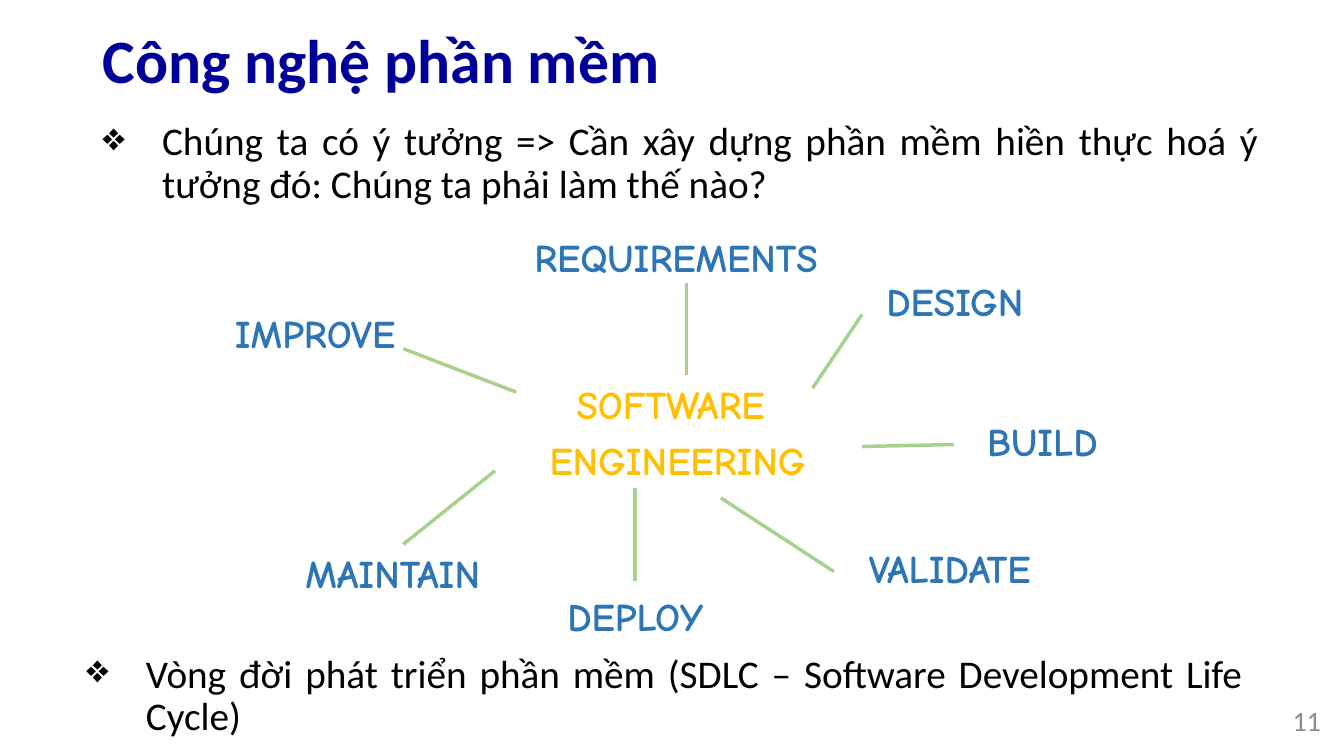
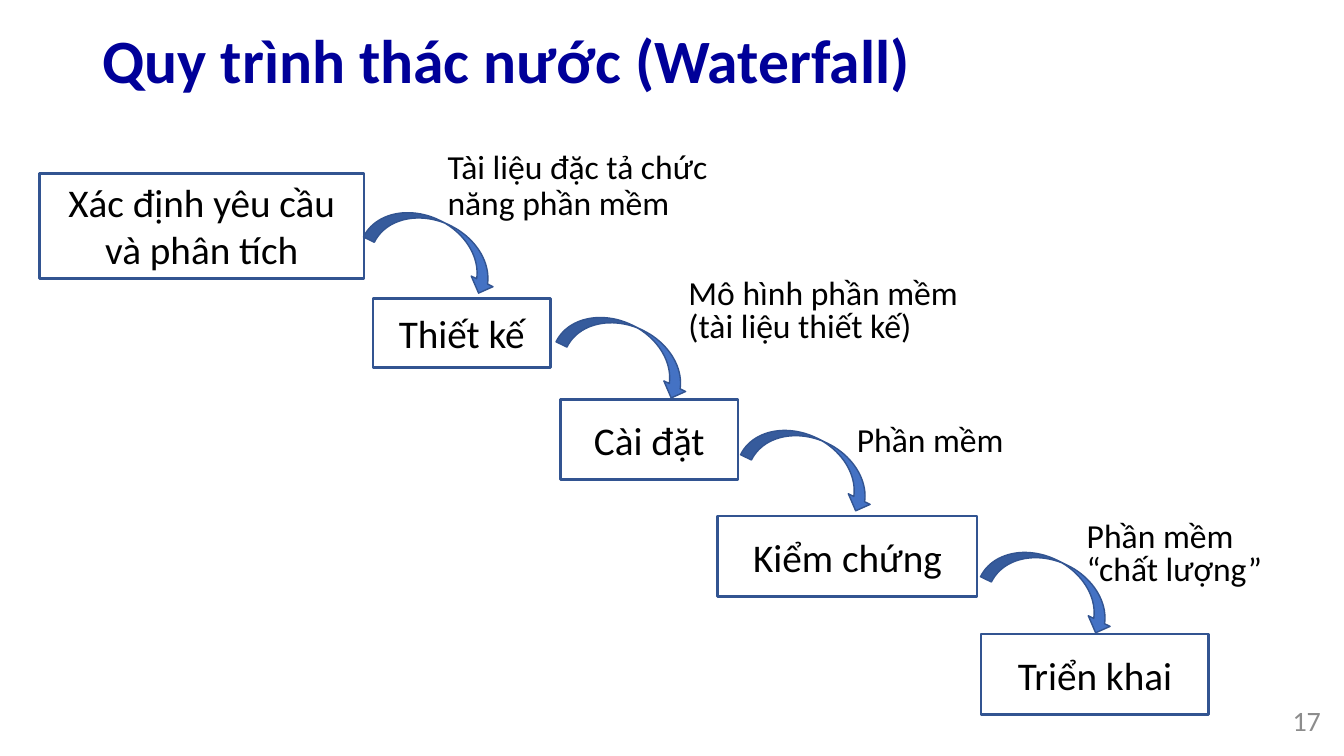
import pptx
import pptx.dml.color
import pptx.enum.shapes
import pptx.enum.text
import pptx.oxml
import pptx.oxml.ns
import pptx.util
from lxml import etree

Inches, Pt = pptx.util.Inches, pptx.util.Pt
SHAPE = pptx.enum.shapes.MSO_SHAPE
ALIGN = pptx.enum.text.PP_ALIGN
ANCHOR = pptx.enum.text.MSO_ANCHOR


def rgb(value):
    return pptx.dml.color.RGBColor.from_string(value)


class Deck:
    FONT, LABEL_FONT = "Calibri", "Comic Neue"
    TITLE, TEXT, PAGE = "000099", "000000", "8C8C8C"
    HUB, LABEL, SPOKE = "FFC000", "2E75B6", "A9D18E"
    OUTLINE, ARROW, WHITE = "325491", "4472C4", "FFFFFF"

    def __init__(self):
        self.prs = pptx.Presentation()
        self.prs.slide_width = Inches(13.33)
        self.prs.slide_height = Inches(7.5)
        self.s = None

    def slide(self, title, page):
        self.s = self.prs.slides.add_slide(self.prs.slide_layouts[6])
        self.text(title, (0.92, 0.23, 11.5, 0.8), 44, self.TITLE,
                  bold=True, anchor=ANCHOR.MIDDLE, line=0.9)
        self.text(page, (10.2, 6.95, 3, 0.4), 20, self.PAGE,
                  align=ALIGN.RIGHT, anchor=ANCHOR.MIDDLE)

    def set_text(self, sp, text, size, color, font=FONT, bold=False,
                 align=ALIGN.LEFT, anchor=ANCHOR.TOP, line=None,
                 before=0, after=0):
        tf = sp.text_frame
        tf.text = text
        tf.word_wrap = True
        tf.vertical_anchor = anchor
        for p in tf.paragraphs:
            p.alignment = align
            p.line_spacing = line
            p.space_before, p.space_after = Pt(before), Pt(after)
            for r in p.runs:
                r.font.name, r.font.size, r.font.bold = font, Pt(size), bold
                r.font.color.rgb = rgb(color)

    def text(self, text, box, size, color, **style):
        sp = self.s.shapes.add_textbox(*map(Inches, box))
        self.set_text(sp, text, size, color, **style)
        return sp

    def bullet(self, text, left, top):
        sp = self.text(text, (left, top, 11.66, 1.19), 28, self.TEXT,
                       align=ALIGN.JUSTIFY, line=0.9, before=10, after=6)
        pPr = sp.text_frame.paragraphs[0]._p.get_or_add_pPr()
        pPr.set("marL", str(Inches(0.59)))
        pPr.set("indent", str(-Inches(0.59)))
        mark = etree.SubElement(pPr, pptx.oxml.ns.qn("a:buChar"))
        mark.set("char", "❖")

    def shape(self, kind, box, fill=None, outline=None, width=1):
        sp = self.s.shapes.add_shape(kind, *map(Inches, box))
        sp.shadow.inherit = False
        if fill:
            sp.fill.solid()
            sp.fill.fore_color.rgb = rgb(fill)
        else:
            sp.fill.background()
        if outline:
            sp.line.color.rgb = rgb(outline)
            sp.line.width = Pt(width)
        else:
            sp.line.fill.background()
        return sp

    def bubble(self, text, box, color):
        sp = self.shape(SHAPE.OVAL, box, self.WHITE)
        self.set_text(sp, text, 28, color, font=self.LABEL_FONT, bold=True,
                      align=ALIGN.CENTER, anchor=ANCHOR.MIDDLE, after=6)

    def spoke(self, ends):
        line = self.s.shapes.add_connector(
            pptx.enum.shapes.MSO_CONNECTOR.STRAIGHT, *map(Inches, ends))
        line.line.color.rgb = rgb(self.SPOKE)
        line.line.width = Pt(2.5)
        etree.SubElement(line._element.spPr, pptx.oxml.ns.qn("a:effectLst"))

    def step(self, text, box):
        sp = self.shape(SHAPE.RECTANGLE, box, outline=self.OUTLINE, width=2)
        self.set_text(sp, text, 28, self.TEXT, align=ALIGN.CENTER,
                      anchor=ANCHOR.MIDDLE)

    def flow(self, left, top):
        """Draw the curved arrow that leads down to the next step."""
        sp = self.shape(SHAPE.CURVED_DOWN_ARROW, (left, top, 1.39, 0.48),
                        self.ARROW, self.OUTLINE)
        sp.rotation = 26

    def output(self, text, box, line):
        self.text(text, box, 24, self.TEXT, line=line, before=10, after=6)


def life_cycle(deck):
    deck.slide("Công nghệ phần mềm", "11")
    deck.bullet("Chúng ta có ý tưởng => Cần xây dựng phần mềm hiền thực hoá "
                "ý tưởng đó: Chúng ta phải làm thế nào?", 0.92, 1.16)
    deck.bubble("SOFTWARE \nENGINEERING", (4.46, 3.72, 4.52, 1.13), deck.HUB)
    activities = [
        ("REQUIREMENTS", (4.28, 1.98, 4.85, 1.13), (6.81, 3.72, 6.81, 2.81)),
        ("DESIGN", (8.24, 2.62, 2.46, 0.73), (8.06, 3.85, 8.55, 3.12)),
        ("BUILD", (9.11, 4.01, 2.46, 0.73), (8.55, 4.43, 9.46, 4.41)),
        ("VALIDATE", (7.92, 5.27, 3, 0.73), (7.15, 4.94, 8.27, 5.67)),
        ("DEPLOY", (4.8, 5.74, 3, 0.73), (6.3, 4.84, 6.3, 5.76)),
        ("MAINTAIN", (2.33, 5.32, 3.13, 0.73), (4.91, 4.67, 4, 5.4)),
        ("IMPROVE", (1.56, 2.94, 3.13, 0.73), (5.12, 3.89, 4, 3.46)),
    ]
    for name, box, ends in activities:
        deck.bubble(name, box, deck.LABEL)
        deck.spoke(ends)
    deck.bullet("Vòng đời phát triển phần mềm (SDLC – Software Development "
                "Life Cycle)", 0.76, 6.44)


def waterfall(deck):
    deck.slide("Quy trình thác nước (Waterfall)", "17")
    steps = [
        ("Xác định yêu cầu và phân tích", (0.39, 1.72, 3.22, 1.04)),
        ("Thiết kế", (3.7, 2.96, 1.76, 0.69)),
        ("Cài đặt", (5.56, 3.96, 1.76, 0.8)),
        ("Kiểm chứng", (7.12, 5.12, 2.57, 0.8)),
        ("Triển khai", (9.73, 6.29, 2.26, 0.8)),
    ]
    for name, box in steps:
        deck.step(name, box)
    outputs = [
        ((3.64, 2.2), "Tài liệu đặc tả chức năng phần mềm",
         (4.34, 1.44, 2.78, 0.8), 0.9),
        ((5.55, 3.24), "Mô hình phần mềm (tài liệu thiết kế)",
         (6.73, 2.73, 2.99, 0.89), 0.8),
        ((7.38, 4.36), "Phần mềm", (8.4, 4.15, 1.76, 0.61), 0.9),
        ((9.76, 5.57), "Phần mềm “chất lượng”",
         (10.68, 5.14, 2.38, 0.87), 0.8),
    ]
    for arrow, text, box, line in outputs:
        deck.flow(*arrow)
        deck.output(text, box, line)


def main():
    deck = Deck()
    life_cycle(deck)
    waterfall(deck)
    deck.prs.save("out.pptx")


if __name__ == "__main__":
    main()
